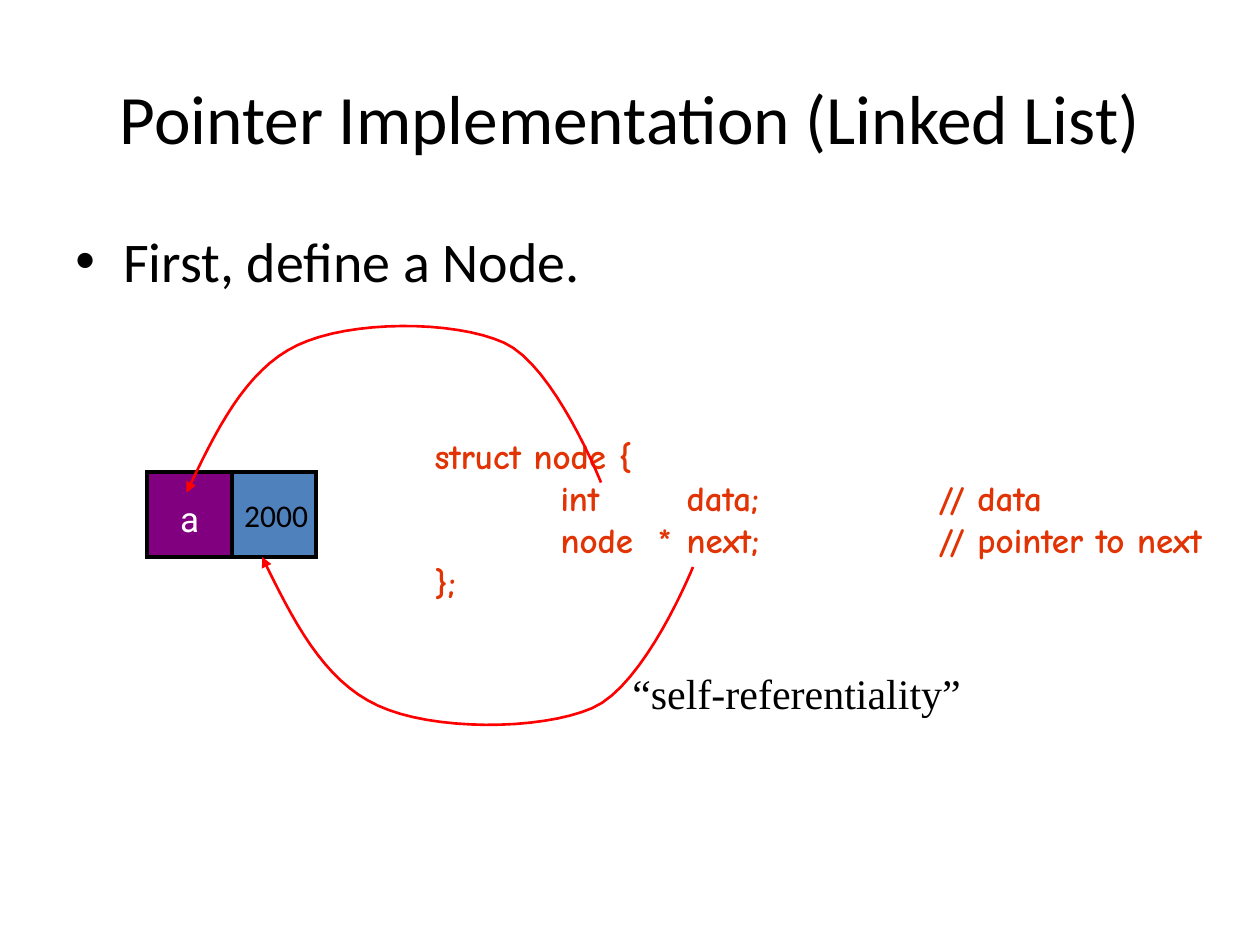
from dataclasses import dataclass

from lxml import etree
from pptx import Presentation
from pptx.dml.color import RGBColor
from pptx.enum.shapes import MSO_SHAPE
from pptx.enum.text import MSO_ANCHOR, MSO_AUTO_SIZE, PP_ALIGN
from pptx.oxml.ns import qn
from pptx.util import Inches, Pt

RECTANGLE = MSO_SHAPE.RECTANGLE
TOP, MIDDLE = MSO_ANCHOR.TOP, MSO_ANCHOR.MIDDLE
LEFT, CENTER = PP_ALIGN.LEFT, PP_ALIGN.CENTER
FIT_SHAPE = MSO_AUTO_SIZE.SHAPE_TO_FIT_TEXT
CURVE_STEPS = 16
TAB_STOPS = (1, 2, 3, 4)


@dataclass(frozen=True)
class TextStyle:
    font: str
    size: float
    color: str
    bold: bool = False


@dataclass(frozen=True)
class Theme:
    title: TextStyle = TextStyle("Calibri", 39.6, "000000")
    body: TextStyle = TextStyle("Calibri", 32, "000000")
    address: TextStyle = TextStyle("Calibri", 18, "000000")
    value: TextStyle = TextStyle("Roboto", 20, "FFFFFF")
    code: TextStyle = TextStyle("Comic Neue", 20, "E13303", True)
    remark: TextStyle = TextStyle("Times New Roman", 24, "000000")
    pointer_fill: str = "4F81BD"
    data_fill: str = "800080"
    cell_line: str = "000000"
    cell_line_width: float = 2.25
    arrow: str = "FF0000"
    arrow_width: float = 1.5


THEME = Theme()


def write_text(shape, lines, style, align=LEFT, anchor=TOP, wrap=True):
    frame = shape.text_frame
    frame.word_wrap = wrap
    frame.vertical_anchor = anchor
    for index, line in enumerate(lines):
        paragraph = frame.add_paragraph() if index else frame.paragraphs[0]
        paragraph.alignment = align
        run = paragraph.add_run()
        run.text = line
        run.font.name = style.font
        run.font.size = Pt(style.size)
        run.font.bold = style.bold
        run.font.color.rgb = RGBColor.from_string(style.color)


def add_text(shapes, box, lines, style, **layout):
    shape = shapes.add_textbox(*map(Inches, box))
    write_text(shape, lines, style, **layout)
    return shape


def add_bullet(paragraph, indent):
    properties = paragraph._p.get_or_add_pPr()
    properties.set("marL", str(Inches(indent)))
    properties.set("indent", str(-Inches(indent)))
    etree.SubElement(properties, qn("a:buFont")).set("typeface", "Arial")
    etree.SubElement(properties, qn("a:buChar")).set("char", "•")


def add_tab_stops(paragraph):
    properties = paragraph._p.get_or_add_pPr()
    stops = etree.SubElement(properties, qn("a:tabLst"))
    for position in TAB_STOPS:
        stop = etree.SubElement(stops, qn("a:tab"))
        stop.set("pos", str(Inches(position)))
        stop.set("algn", "l")


def style_line(shape, color, width, join):
    shape.line.color.rgb = RGBColor.from_string(color)
    shape.line.width = Pt(width)
    line = shape.line._get_or_add_ln()
    etree.SubElement(line, qn(join))
    return line


def add_cell(shapes, left, top, side, fill):
    cell = shapes.add_shape(RECTANGLE, *map(Inches, (left, top, side, side)))
    cell.shadow.inherit = False
    cell.fill.solid()
    cell.fill.fore_color.rgb = RGBColor.from_string(fill)
    style_line(cell, THEME.cell_line, THEME.cell_line_width, "a:miter")
    return cell


def add_node(slide):
    left, top, side = 1.17, 3.75, 0.67
    shapes = slide.shapes.add_group_shape().shapes
    pointer = add_cell(shapes, left + side, top, side, THEME.pointer_fill)
    write_text(pointer, ["2000"], THEME.address, anchor=MIDDLE, wrap=False)
    add_cell(shapes, left, top, side, THEME.data_fill)
    label = add_text(shapes, (1.33, 3.9, 0.35, 0.44), ["a"], THEME.value,
                     align=CENTER, wrap=False)
    label.text_frame.auto_size = FIT_SHAPE


def add_code(slide):
    lines = [
        "struct node {",
        "\tint\tdata;\t\t// data",
        "\tnode  *\tnext;\t\t// pointer to next",
        "};",
    ]
    code = add_text(slide.shapes, (3.35, 3.4, 6.65, 1.43), lines, THEME.code,
                    anchor=MIDDLE, wrap=False)
    code.text_frame.auto_size = FIT_SHAPE
    for paragraph in code.text_frame.paragraphs:
        add_tab_stops(paragraph)


def bezier_point(controls, t):
    weights = ((1 - t) ** 3, 3 * t * (1 - t) ** 2, 3 * t ** 2 * (1 - t), t ** 3)
    return tuple(
        Inches(sum(weight * value for weight, value in zip(weights, axis)))
        for axis in zip(*controls)
    )


def add_curved_arrow(slide, points):
    curve = [
        bezier_point(points[first:first + 4], step / CURVE_STEPS)
        for first in range(0, len(points) - 1, 3)
        for step in range(1, CURVE_STEPS + 1)
    ]
    builder = slide.shapes.build_freeform(*map(Inches, points[0]))
    builder.add_line_segments(curve, close=False)
    arrow = builder.convert_to_shape()
    arrow.shadow.inherit = False
    arrow.fill.background()
    line = style_line(arrow, THEME.arrow, THEME.arrow_width, "a:round")
    etree.SubElement(line, qn("a:headEnd")).set("type", "triangle")


def main():
    presentation = Presentation()
    presentation.slide_width = Inches(10)
    presentation.slide_height = Inches(7.5)
    slide = presentation.slides.add_slide(presentation.slide_layouts[6])

    body = add_text(slide.shapes, (0.5, 1.75, 9, 4.95),
                    ["First, define a Node."], THEME.body)
    add_bullet(body.text_frame.paragraphs[0], 0.38)
    add_text(slide.shapes, (0.5, 0.3, 9, 1.25),
             ["Pointer Implementation (Linked List)"], THEME.title,
             align=CENTER, anchor=MIDDLE)
    add_node(slide)
    add_code(slide)
    add_text(slide.shapes, (4.92, 5.25, 3.83, 0.67),
             ["“self-referentiality”"], THEME.remark)

    add_curved_arrow(slide, [
        (1.48, 3.91), (1.71, 3.43), (1.94, 2.94), (2.36, 2.74), (2.78, 2.54),
        (3.6, 2.54), (4, 2.72), (4.4, 2.9), (4.77, 3.83), (4.77, 3.83),
    ])
    add_curved_arrow(slide, [
        (2.08, 4.42), (2.32, 4.91), (2.56, 5.4), (3, 5.6), (3.43, 5.8),
        (4.28, 5.8), (4.7, 5.62), (5.12, 5.44), (5.5, 4.5), (5.5, 4.5),
    ])
    presentation.save("out.pptx")


if __name__ == "__main__":
    main()
